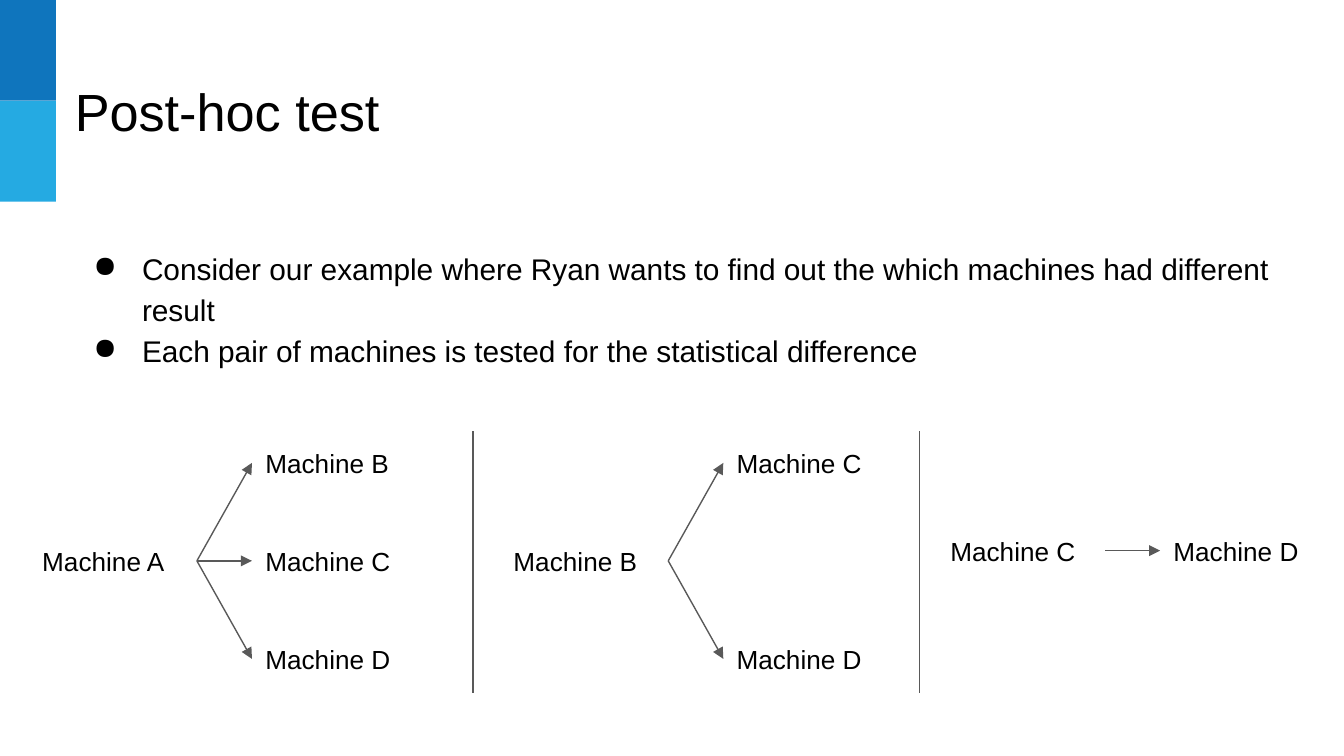
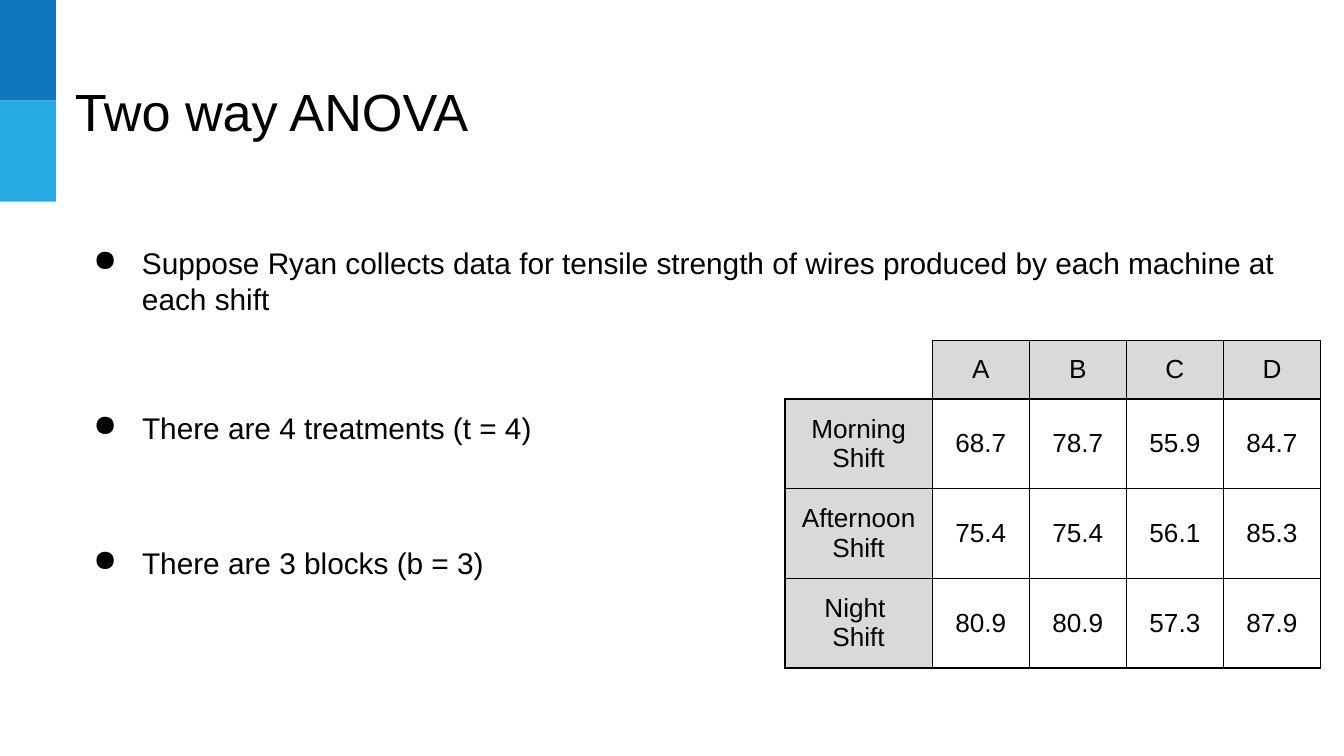
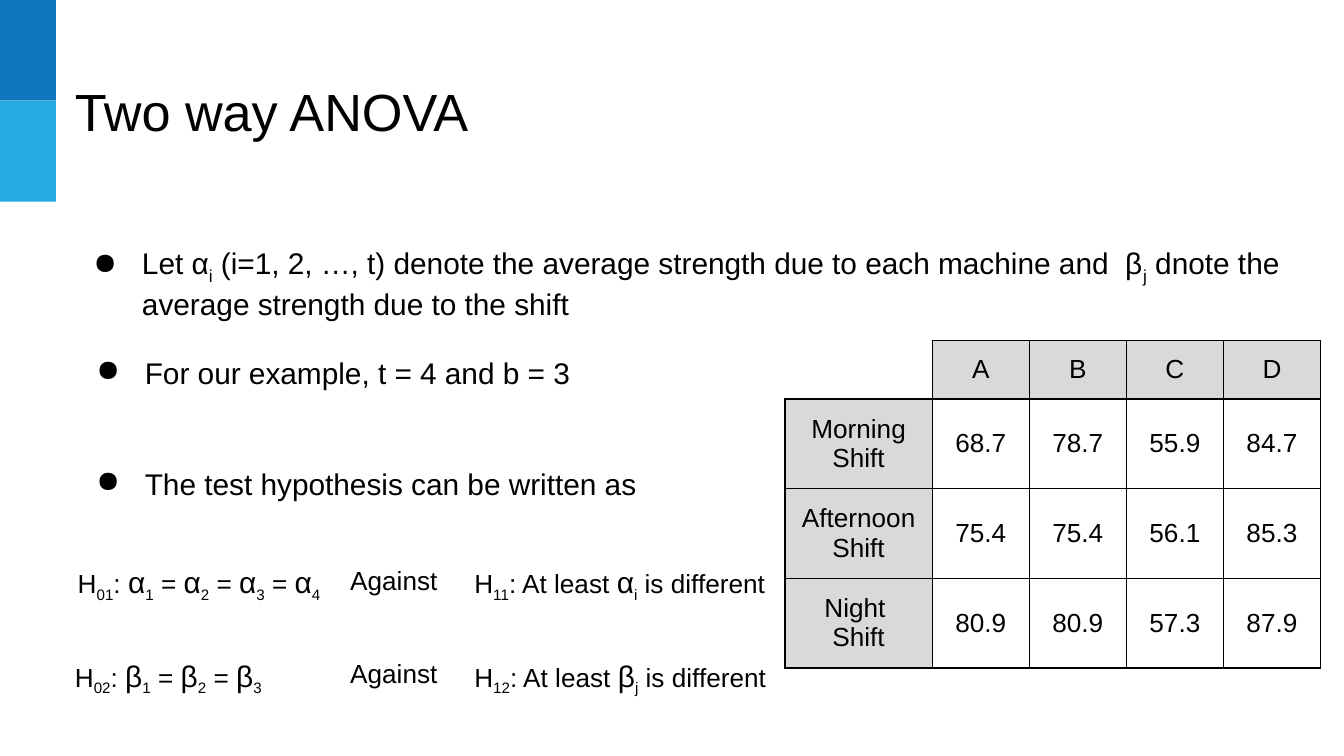
"""Build three slides on post-hoc tests and two way ANOVA."""
from dataclasses import dataclass
from itertools import groupby

from lxml.etree import SubElement
from pptx import Presentation
from pptx.dml.color import RGBColor
from pptx.enum.shapes import MSO_CONNECTOR, MSO_SHAPE
from pptx.enum.text import MSO_ANCHOR, PP_ALIGN
from pptx.oxml.ns import qn
from pptx.util import Pt


@dataclass(frozen=True)
class Theme:
    font: str = "Arial"
    title: int = 28
    body: int = 16
    label: int = 14
    ink: str = "000000"
    rule: str = "595959"
    header: str = "D9D9D9"
    bands: tuple = ("0F75BD", "25AAE2")
    inset: float = 7.2
    line: float = 0.75


theme = Theme()


def add_text(page, area, paragraphs, size, bulleted=False, spacing=1.0, gap=0,
             anchor=MSO_ANCHOR.TOP, align=PP_ALIGN.LEFT):
    """Add a text box; text between bars is subscript, Greek letters take body size."""
    frame = page.shapes.add_textbox(*map(Pt, area)).text_frame
    frame.word_wrap = True
    frame.vertical_anchor = anchor
    frame.margin_left = frame.margin_right = Pt(theme.inset)
    frame.margin_top = frame.margin_bottom = Pt(theme.inset)
    for number, text in enumerate(paragraphs):
        para = frame.add_paragraph() if number else frame.paragraphs[0]
        if bulleted:
            properties = para._p.get_or_add_pPr()
            properties.set("marL", str(Pt(36)))
            properties.set("indent", str(Pt(-26)))
            color = SubElement(properties, qn("a:buClr"))
            SubElement(color, qn("a:srgbClr"), val=theme.ink)
            SubElement(properties, qn("a:buChar"), char="●")
        para.alignment = align
        para.line_spacing = spacing
        para.space_before = Pt(gap if number else 0)
        for position, part in enumerate(text.split("|")):
            for greek, letters in groupby(part, lambda letter: letter in "αβ"):
                span = para.add_run()
                span.text = "".join(letters)
                span.font.name = theme.font
                span.font.size = Pt(max(size, theme.body) if greek else size)
                span.font.color.rgb = RGBColor.from_string(theme.ink)
                if position % 2:
                    span._r.get_or_add_rPr().set("baseline", "-25000")


def add_line(page, start, end, arrow=False):
    """Add a thin straight line, with an arrowhead at its end if asked."""
    line = page.shapes.add_connector(MSO_CONNECTOR.STRAIGHT, *map(Pt, start + end))
    line.line.color.rgb = RGBColor.from_string(theme.rule)
    line.line.width = Pt(theme.line)
    if arrow:
        SubElement(line.line._get_or_add_ln(), qn("a:tailEnd"), type="triangle")
    SubElement(line._element.spPr, qn("a:effectLst"))


deck = Presentation()
deck.slide_width, deck.slide_height = Pt(720), Pt(405)

pages = []
for title in ("Post-hoc test", "Two way ANOVA", "Two way ANOVA"):
    page = deck.slides.add_slide(deck.slide_layouts[6])
    for number, color in enumerate(theme.bands):
        band = page.shapes.add_shape(MSO_SHAPE.RECTANGLE, Pt(0), Pt(54 * number), Pt(30), Pt(54))
        band.shadow.inherit = False
        band.fill.solid()
        band.fill.fore_color.rgb = RGBColor.from_string(color)
        band.line.fill.background()
    add_text(page, (33, 35, 531, 45), [title], theme.title)
    pages.append(page)
post_hoc, design, hypotheses = pages

add_text(post_hoc, (33, 124, 663, 96), [
    "Consider our example where Ryan wants to find out the which machines had different result",
    "Each pair of machines is tested for the statistical difference",
], theme.body, bulleted=True, spacing=1.15)

label_width, label_height, reach, row_gap = 90, 27, 119.5, 52.5
comparisons = [
    (15.5, 300.5, "A", {"B": -1, "C": 0, "D": 1}),
    (268, 300.5, "B", {"C": -1, "D": 1}),
    (502, 295, "C", {"D": 0}),
]
for left, middle, source, targets in comparisons:
    labels = [(left, middle, source)]
    for target, row in targets.items():
        height = middle + row * row_gap
        labels.append((left + reach, height, target))
        add_line(post_hoc, (left + label_width, middle), (left + reach, height), arrow=True)
    for x, y, machine in labels:
        add_text(post_hoc, (x, y - label_height / 2, label_width, label_height),
                 [f"Machine {machine}"], theme.label, anchor=MSO_ANCHOR.MIDDLE)
for x in (253.5, 492.5):
    add_line(post_hoc, (x, 231), (x, 371))

add_text(design, (33, 124, 662, 45), [
    "Suppose Ryan collects data for tensile strength of wires produced by each machine at each shift",
], theme.body, bulleted=True)
add_text(design, (33, 209.5, 372, 110), [
    "There are 4 treatments (t = 4)",
    "There are 3 blocks (b = 3)",
], theme.body, bulleted=True, spacing=1.15, gap=50)

add_text(hypotheses, (33, 124, 662, 55), [
    "Let α|i| (i=1, 2, …, t) denote the average strength due to each machine and  β|j|"
    " dnote the average strength due to the shift",
], theme.body, bulleted=True)
add_text(hypotheses, (34.5, 183, 367, 89), [
    "For our example, t = 4 and b = 3",
    "The test hypothesis can be written as",
], theme.body, bulleted=True, gap=40)
tests = [
    (34.5, 295, "H|01|: α|1| = α|2| = α|3| = α|4|", "H|11|: At least α|i| is different"),
    (33, 345, "H|02|: β|1| = β|2| = β|3|", "H|12|: At least β|j| is different"),
]
for left, top, null, alternative in tests:
    add_text(hypotheses, (left, top, 154, 35), [null], theme.label)
    add_text(hypotheses, (247, top, 180, 35), [alternative], theme.label)
    add_text(hypotheses, (175.5, top, 71, 35), ["Against"], theme.label, align=PP_ALIGN.CENTER)

strengths = [
    ("", "A", "B", "C", "D"),
    ("Morning Shift", "68.7", "78.7", "55.9", "84.7"),
    ("Afternoon Shift", "75.4", "75.4", "56.1", "85.3"),
    ("Night \nShift", "80.9", "80.9", "57.3", "87.9"),
]
for page in (design, hypotheses):
    table = page.shapes.add_table(4, 5, Pt(420.5), Pt(182.5), Pt(287), Pt(121)).table
    table.first_row = table.horz_banding = False
    for column, width in zip(table.columns, (79, 52, 52, 52, 52)):
        column.width = Pt(width)
    for row, height in zip(table.rows, (31, 30, 30, 30)):
        row.height = Pt(height)
    for row, values in enumerate(strengths):
        for column, value in enumerate(values):
            cell = table.cell(row, column)
            corner = row == column == 0
            for side in ("R", "B") if corner else ("L", "R", "T", "B"):
                border = SubElement(cell._tc.get_or_add_tcPr(), qn(f"a:ln{side}"),
                                    w=str(Pt(theme.line)))
                fill = SubElement(border, qn("a:solidFill"))
                SubElement(fill, qn("a:srgbClr"), val=theme.ink)
            if not corner and (row == 0 or column == 0):
                cell.fill.solid()
                cell.fill.fore_color.rgb = RGBColor.from_string(theme.header)
            else:
                cell.fill.background()
            cell.vertical_anchor = MSO_ANCHOR.MIDDLE
            cell.margin_left = cell.margin_right = Pt(theme.inset)
            cell.margin_top = cell.margin_bottom = Pt(theme.inset)
            cell.text_frame.text = value
            for para in cell.text_frame.paragraphs:
                para.alignment = PP_ALIGN.CENTER
                para.font.size = Pt(theme.label)
                for span in para.runs:
                    span.font.name = theme.font
                    span.font.size = Pt(theme.label)
                    span.font.color.rgb = RGBColor.from_string(theme.ink)

deck.save("out.pptx")
